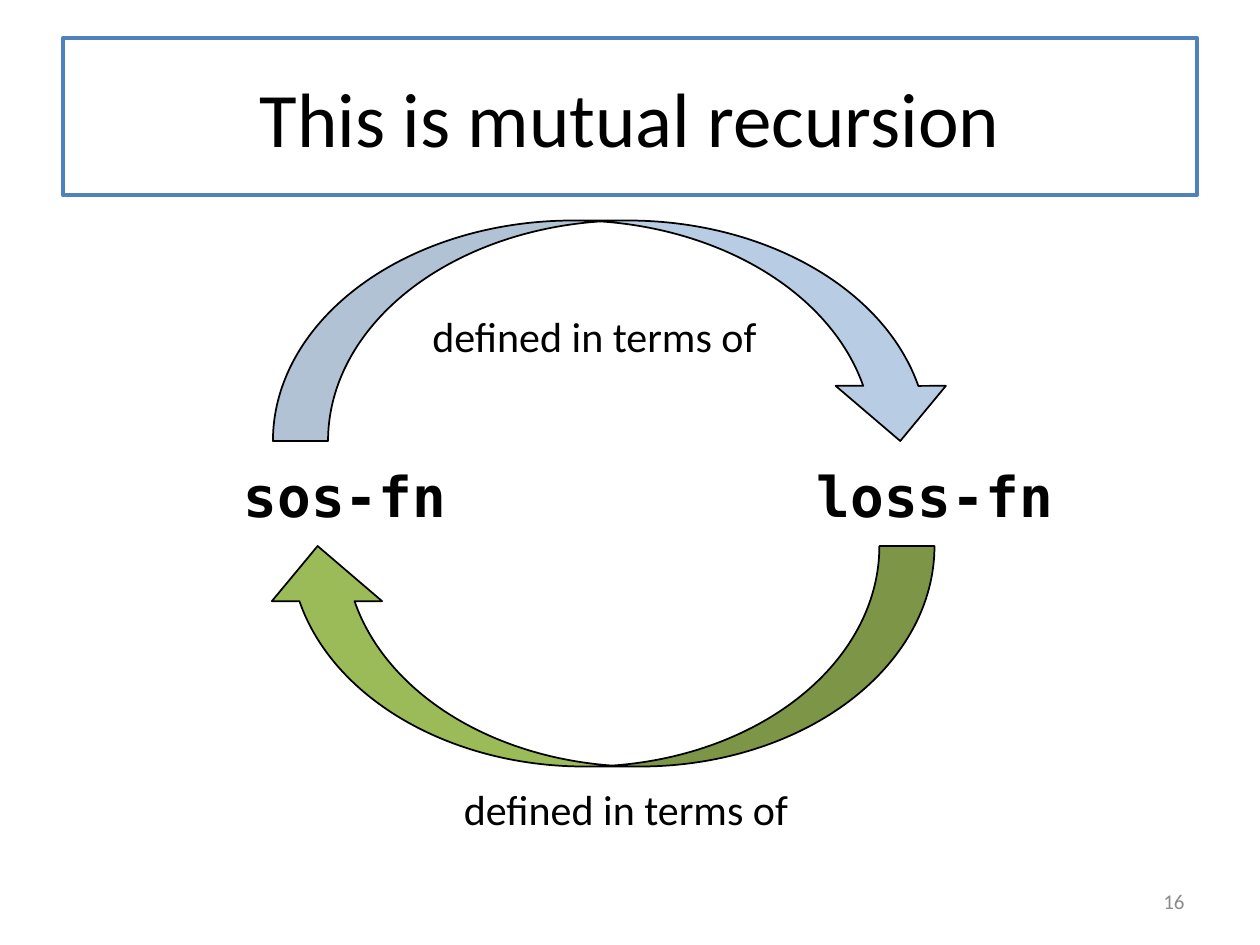
"""Build a slide that shows two functions defined by mutual recursion."""
from dataclasses import dataclass

from lxml import etree
from pptx import Presentation
from pptx.dml.color import RGBColor
from pptx.enum.shapes import MSO_SHAPE
from pptx.enum.text import MSO_ANCHOR, MSO_AUTO_SIZE, PP_ALIGN
from pptx.oxml.ns import qn
from pptx.util import Pt

CURVED_ARROW = MSO_SHAPE.CURVED_DOWN_ARROW
MIDDLE, TOP = MSO_ANCHOR.MIDDLE, MSO_ANCHOR.TOP
LEFT, CENTER, RIGHT = PP_ALIGN.LEFT, PP_ALIGN.CENTER, PP_ALIGN.RIGHT
NO_AUTOFIT = MSO_AUTO_SIZE.NONE
BLACK, WHITE, BLUE, GREEN, GREY = "000000", "FFFFFF", "4F81BD", "9BBB59", "8C8C8C"
TWO_CONTENT_LAYOUT = 3


@dataclass(frozen=True)
class Box:
    """Position and size in points."""
    left: float
    top: float
    width: float
    height: float


@dataclass(frozen=True)
class FunctionName:
    """A function name and the index of its body placeholder."""
    index: int
    left: float
    text: str


@dataclass(frozen=True)
class Arrow:
    """A curved arrow between the two functions."""
    box: Box
    color: str
    rotation: float = 0
    opacity: int = 100


@dataclass(frozen=True)
class Label:
    """A plain text box."""
    box: Box
    text: str
    size: float = 24
    color: str = BLACK
    alignment: PP_ALIGN = LEFT
    anchor: MSO_ANCHOR = TOP


FUNCTION_NAMES = (
    FunctionName(1, 132, "sos-fn"),
    FunctionName(2, 459.5, "loss-fn"),
)
ARROWS = (
    Arrow(Box(156, 126, 390, 126), BLUE, opacity=40),
    Arrow(Box(150, 312, 384, 126), GREEN, rotation=180),
)
LABELS = (
    Label(Box(240, 174, 216, 36), "defined in terms of"),
    Label(Box(258, 444, 216, 36), "defined in terms of"),
    Label(Box(516, 500.5, 168, 28.75), "16", 12, GREY, RIGHT, MIDDLE),
)


def rgb(color: str) -> RGBColor:
    """Turn a hex string into a colour."""
    return RGBColor.from_string(color)


def place(shape, box: Box) -> None:
    """Move and size a shape."""
    shape.left, shape.top = Pt(box.left), Pt(box.top)
    shape.width, shape.height = Pt(box.width), Pt(box.height)


def paint(shape, fill: str, line: str, width: float) -> None:
    """Give a shape a solid fill and an outline."""
    shape.fill.solid()
    shape.fill.fore_color.rgb = rgb(fill)
    shape.line.color.rgb = rgb(line)
    shape.line.width = Pt(width)


def add_run(paragraph, text: str, size: float, color: str = BLACK,
            font: str = "Calibri", bold: bool = False) -> None:
    """Append a formatted run to a paragraph."""
    run = paragraph.add_run()
    run.text = text
    run.font.name, run.font.size, run.font.bold = font, Pt(size), bold
    run.font.color.rgb = rgb(color)


def fill_title(title) -> None:
    """Frame the title and write it."""
    place(title, Box(36, 21.6, 648, 90))
    paint(title, WHITE, BLUE, 2.25)
    title.text_frame.vertical_anchor = MIDDLE
    paragraph = title.text_frame.paragraphs[0]
    paragraph.alignment = CENTER
    add_run(paragraph, "This is mutual recursion", 44)


def fill_function_name(slide, name: FunctionName) -> None:
    """Write a function name without a bullet in its body placeholder."""
    body = slide.placeholders[name.index]
    place(body, Box(name.left, 260.4, 180, 46))
    frame = body.text_frame
    frame.auto_size = NO_AUTOFIT
    frame.vertical_anchor = TOP
    paragraph = frame.paragraphs[0]
    paragraph.space_before = Pt(0)
    properties = paragraph._p.get_or_add_pPr()
    properties.set("marL", "0")
    properties.set("indent", "0")
    etree.SubElement(properties, qn("a:buNone"))
    add_run(paragraph, name.text, 32, font="DejaVu Sans Mono", bold=True)


def add_arrow(slide, arrow: Arrow) -> None:
    """Draw a curved arrow."""
    shape = slide.shapes.add_shape(CURVED_ARROW, 0, 0, 0, 0)
    place(shape, arrow.box)
    shape.rotation = arrow.rotation
    shape.shadow.inherit = False
    paint(shape, arrow.color, BLACK, 1)
    if arrow.opacity < 100:
        color = shape._element.spPr.find(qn("a:solidFill")).find(qn("a:srgbClr"))
        etree.SubElement(color, qn("a:alpha"), val=str(arrow.opacity * 1000))


def add_label(slide, label: Label) -> None:
    """Draw a text box."""
    shape = slide.shapes.add_textbox(0, 0, 0, 0)
    place(shape, label.box)
    frame = shape.text_frame
    frame.word_wrap = True
    frame.vertical_anchor = label.anchor
    paragraph = frame.paragraphs[0]
    paragraph.alignment = label.alignment
    add_run(paragraph, label.text, label.size, label.color)


def main() -> None:
    """Build and save the presentation."""
    presentation = Presentation()
    presentation.slide_width, presentation.slide_height = Pt(720), Pt(540)
    layout = presentation.slide_layouts[TWO_CONTENT_LAYOUT]
    slide = presentation.slides.add_slide(layout)
    fill_title(slide.shapes.title)
    for name in FUNCTION_NAMES:
        fill_function_name(slide, name)
    for arrow in ARROWS:
        add_arrow(slide, arrow)
    for label in LABELS:
        add_label(slide, label)
    presentation.save("out.pptx")


main()
